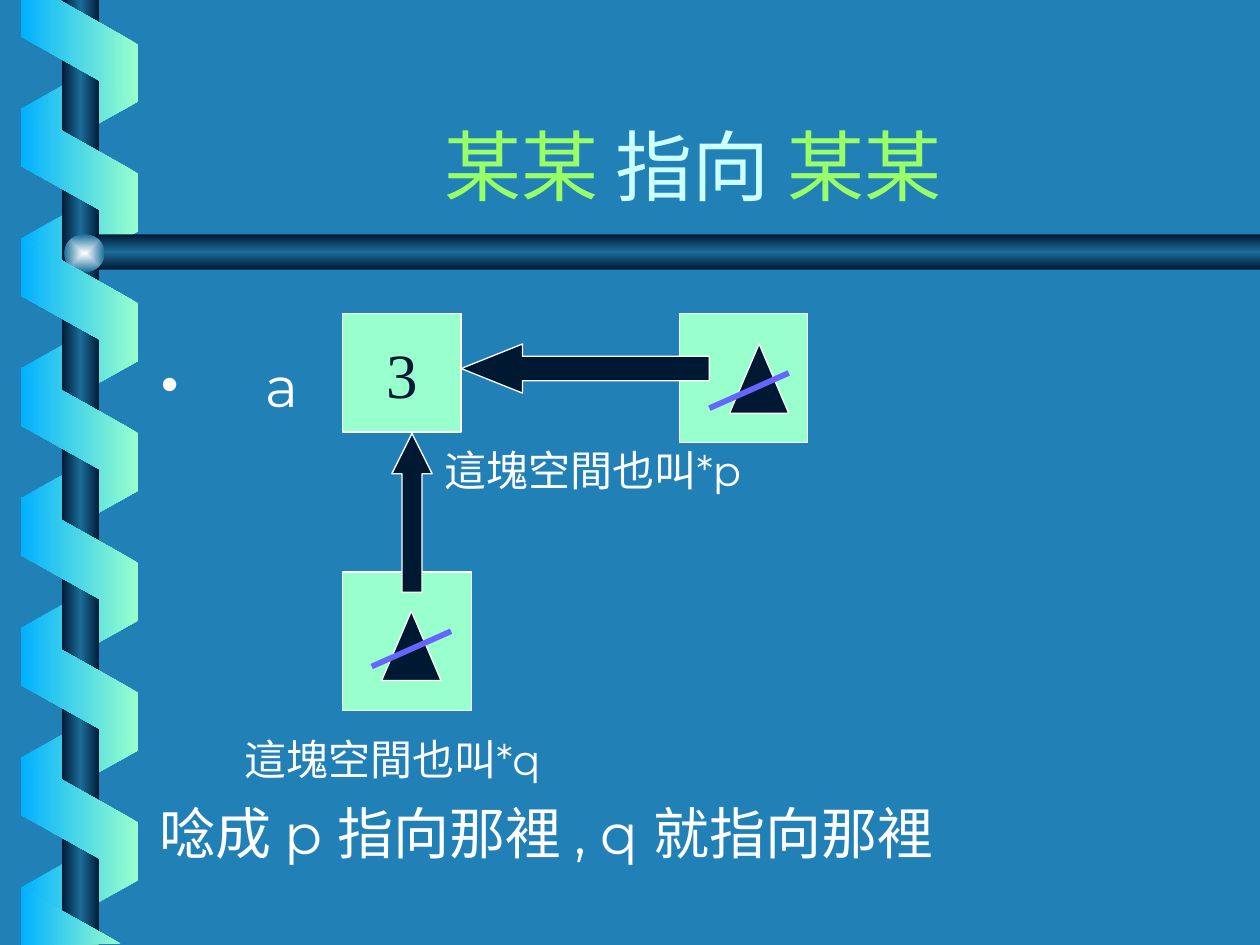
import pptx
import pptx.util
import pptx.dml.color
import pptx.enum.shapes
import pptx.enum.text
import pptx.oxml
import pptx.oxml.ns
from lxml import etree

Inches = pptx.util.Inches
Pt = pptx.util.Pt
RGBColor = pptx.dml.color.RGBColor
Shape = pptx.enum.shapes.MSO_SHAPE
Align = pptx.enum.text.PP_ALIGN
Anchor = pptx.enum.text.MSO_ANCHOR

BLUE = RGBColor(0x21, 0x81, 0xB7)
NAVY = RGBColor(0x00, 0x19, 0x32)
STEEL = RGBColor(0x1C, 0x6D, 0x9A)
MINT = RGBColor(0x99, 0xFF, 0xCC)
AZURE = RGBColor(0x01, 0xB0, 0xFF)
PEARL = RGBColor(0xFE, 0xFF, 0xFF)
WHITE = RGBColor(0xFF, 0xFF, 0xFF)
LIME = RGBColor(0x99, 0xFF, 0x66)
ICE = RGBColor(0xCC, 0xFF, 0xFF)
VIOLET = RGBColor(0x66, 0x66, 0xFF)
FONT = "Montserrat"
SERIF = "Times New Roman"
RUNG_PITCH = 1.03
NAMESPACE = pptx.oxml.ns.nsdecls("a")


def fill_gradient(shape, colours, angle=None):
    last = len(colours) - 1
    stops = "".join(
        f'<a:gs pos="{100000 * index // last}"><a:srgbClr val="{colour}"/></a:gs>'
        for index, colour in enumerate(colours))
    if angle is None:
        shade = ('<a:path path="rect"><a:fillToRect l="50000" t="50000" '
                 'r="50000" b="50000"/></a:path>')
    else:
        shade = f'<a:lin ang="{angle * 60000}" scaled="0"/>'
    gradient = pptx.oxml.parse_xml(
        f'<a:gradFill {NAMESPACE} rotWithShape="0"><a:gsLst>{stops}</a:gsLst>{shade}</a:gradFill>')
    shape.shadow.inherit = False
    shape.line.fill.background()
    shape.fill.background()
    properties = shape._element.spPr
    blank = properties.find(pptx.oxml.ns.qn("a:noFill"))
    properties.replace(blank, gradient)


def add_preset(page, kind, box):
    return page.shapes.add_shape(kind, *(Inches(length) for length in box))


def add_outline(page, points):
    start, *rest = [(Inches(x), Inches(y)) for x, y in points]
    builder = page.shapes.build_freeform(*start, scale=1.0)
    builder.add_line_segments(rest, close=True)
    return builder.convert_to_shape()


def add_rungs(page, top, count, rotation, flipped, colours):
    for index in range(count):
        rung = add_preset(page, Shape.PARALLELOGRAM,
                          (0.14, top + index * RUNG_PITCH, 0.98, 0.93))
        rung.adjustments[0] = 0.56
        rung.rotation = rotation
        if flipped:
            rung._element.spPr.xfrm.set("flipH", "1")
        fill_gradient(rung, colours, 180)


def add_decoration(page):
    add_rungs(page, 0.37, 7, 90, True, (AZURE, MINT))
    pole = add_preset(page, Shape.RECTANGLE, (0.49, 0, 0.3, 7.5))
    fill_gradient(pole, (NAVY, STEEL, NAVY), 180)
    beam = add_outline(page, [(10, 1.86), (0.76, 1.86), (0.6, 2), (0.76, 2.14), (10, 2.14)])
    fill_gradient(beam, (NAVY, STEEL, NAVY), 90)
    knob = add_preset(page, Shape.OVAL, (0.51, 1.86, 0.32, 0.3))
    fill_gradient(knob, (PEARL, STEEL))
    add_rungs(page, 0.88, 6, 270, False, (MINT, AZURE))
    ends = (
        [(0.17, 0), (0.17, 0.29), (1.09, 0.81), (1.09, 0.35), (0.47, 0)],
        [(0.96, 7.49), (0.17, 7.05), (0.17, 7.5)],
    )
    for points in ends:
        fill_gradient(add_outline(page, points), (MINT, AZURE), 180)


def add_text_frame(page, box):
    frame = page.shapes.add_textbox(*(Inches(length) for length in box)).text_frame
    frame.word_wrap = True
    return frame


def style_paragraph(para, size, colour, name=FONT):
    para.font.size = Pt(size)
    para.font.name = name
    para.font.color.rgb = colour


def add_title(page, box):
    frame = add_text_frame(page, box)
    frame.vertical_anchor = Anchor.BOTTOM
    para = frame.paragraphs[0]
    para.alignment = Align.CENTER
    para.font.size = Pt(44)
    para.font.name = FONT
    for text, colour in (("某某", LIME), (" 指向 ", ICE), ("某某", LIME)):
        span = para.add_run()
        span.text = text
        span.font.color.rgb = colour


def add_bullet(para, margin):
    properties = para._p.get_or_add_pPr()
    properties.set("indent", str(-Inches(margin)))
    font = etree.SubElement(properties, pptx.oxml.ns.qn("a:buFont"))
    font.set("typeface", SERIF)
    bullet = etree.SubElement(properties, pptx.oxml.ns.qn("a:buChar"))
    bullet.set("char", "•")


def add_body(page, box):
    frame = add_text_frame(page, box)
    lines = (
        ("a", 32, 0.84, 0, True),
        ("這塊空間也叫*p", 24, 2.26, 15, False),
        ("這塊空間也叫*q", 24, 0.67, 136, False),
        ("唸成 p 指向那裡 , q 就指向那裡", 32, 0, 8.5, False),
    )
    for index, (text, size, margin, gap, bulleted) in enumerate(lines):
        para = frame.add_paragraph() if index else frame.paragraphs[0]
        para.text = text
        para._p.get_or_add_pPr().set("marL", str(Inches(margin)))
        if bulleted:
            add_bullet(para, margin)
        if gap:
            para.space_before = Pt(gap)
        style_paragraph(para, size, WHITE)


def add_solid(page, kind, box, colour):
    shape = add_preset(page, kind, box)
    shape.shadow.inherit = False
    shape.fill.solid()
    shape.fill.fore_color.rgb = colour
    shape.line.color.rgb = WHITE
    shape.line.width = Pt(0.75)
    return shape


def add_marker(page, left, top):
    add_solid(page, Shape.ISOSCELES_TRIANGLE, (left, top, 0.47, 0.55), NAVY)


def add_slash(page, left, top):
    slash = page.shapes.add_connector(
        pptx.enum.shapes.MSO_CONNECTOR.STRAIGHT,
        Inches(left + 0.63), Inches(top), Inches(left), Inches(top + 0.28))
    slash.line.color.rgb = VIOLET
    slash.line.width = Pt(3.25)
    etree.SubElement(slash._element.spPr, pptx.oxml.ns.qn("a:effectLst"))


def add_diagram(page, left, top):
    value = add_solid(page, Shape.RECTANGLE, (left, top, 0.94, 0.94), MINT)
    value.text_frame.word_wrap = False
    value.text_frame.vertical_anchor = Anchor.MIDDLE
    para = value.text_frame.paragraphs[0]
    para.text = "3"
    para.alignment = Align.CENTER
    style_paragraph(para, 36, NAVY, SERIF)

    add_solid(page, Shape.RECTANGLE, (left + 2.67, top, 1.02, 1.02), MINT)
    add_solid(page, Shape.RECTANGLE, (left, top + 2.05, 1.02, 1.1), MINT)
    arrows = (
        (Shape.LEFT_ARROW, (left + 0.94, top + 0.24, 1.97, 0.39), 1.25),
        (Shape.UP_ARROW, (left + 0.39, top + 0.95, 0.32, 1.26), 1),
    )
    for kind, box, head in arrows:
        arrow = add_solid(page, kind, box, NAVY)
        arrow.adjustments[0] = 0.5
        arrow.adjustments[1] = head
    add_marker(page, left + 3.07, top + 0.24)
    add_marker(page, left + 0.31, top + 2.36)
    add_slash(page, left + 2.91, top + 0.47)
    add_slash(page, left + 0.23, top + 2.52)


def main():
    deck = pptx.Presentation()
    deck.slide_width = Inches(10)
    deck.slide_height = Inches(7.5)
    page = deck.slides.add_slide(deck.slide_layouts[6])
    page.background.fill.solid()
    page.background.fill.fore_color.rgb = BLUE
    add_decoration(page)
    add_title(page, (1.25, 0.88, 8.5, 0.84))
    add_body(page, (1.17, 2.74, 8.58, 4.23))
    add_diagram(page, 2.72, 2.49)
    deck.save("out.pptx")


if __name__ == "__main__":
    main()
